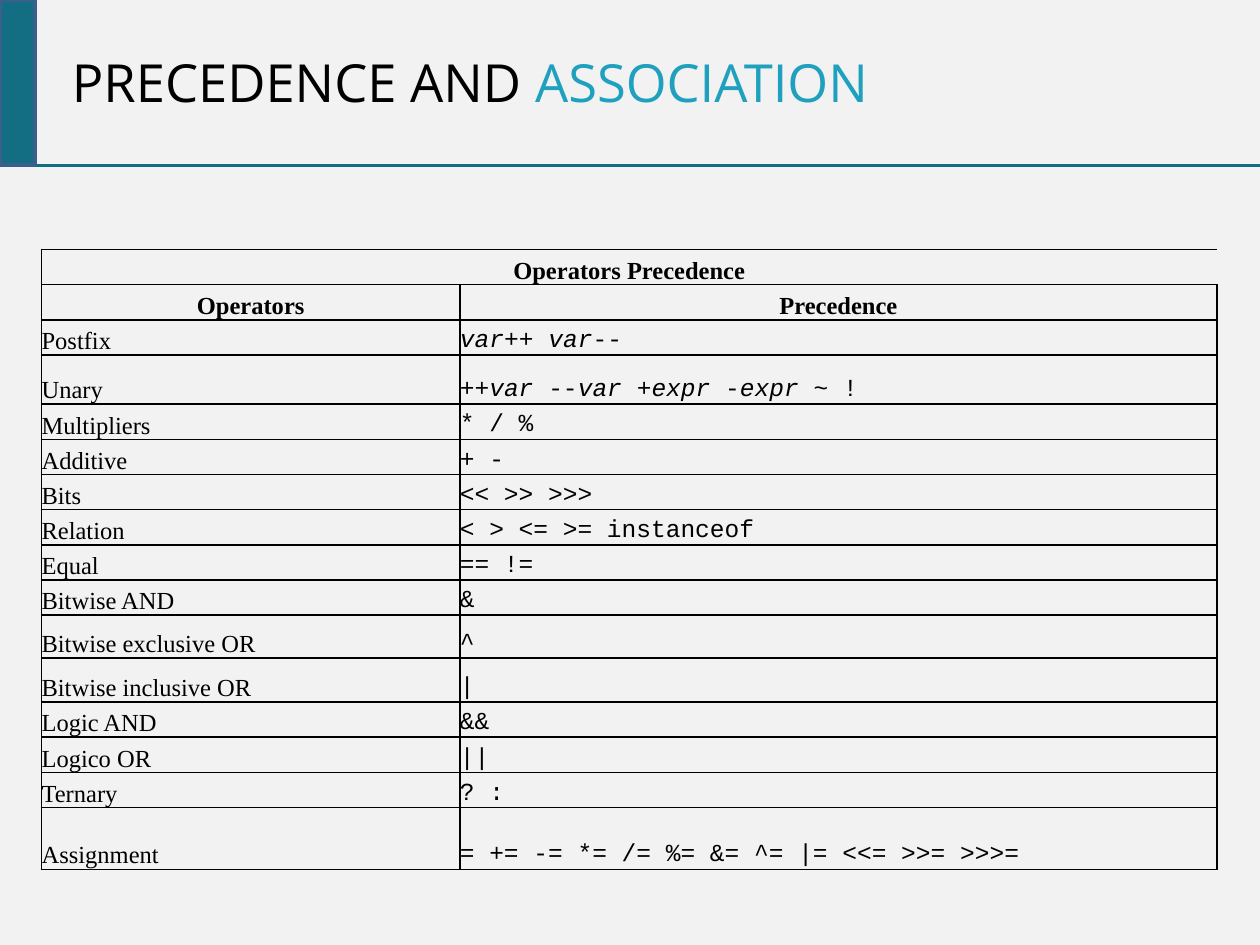
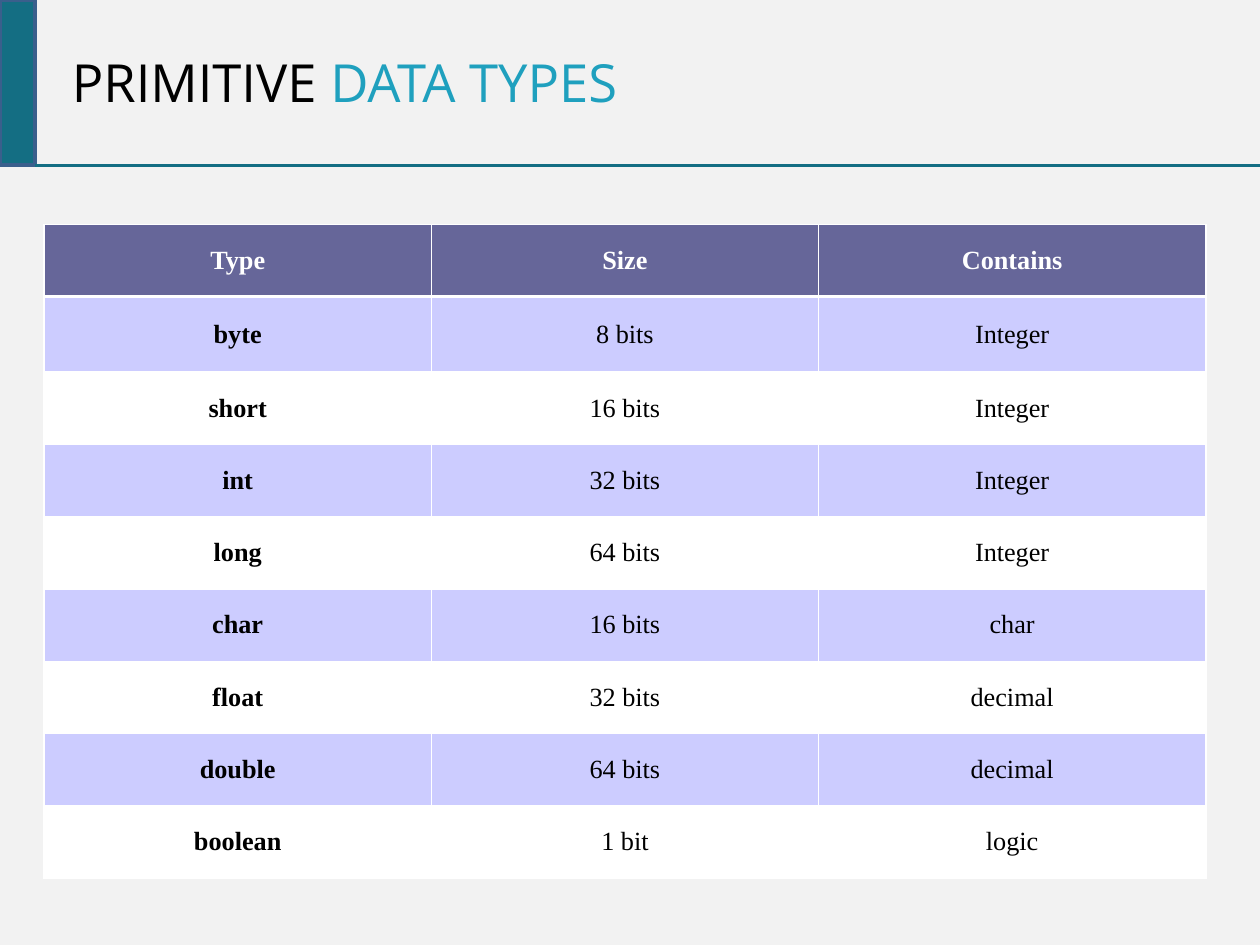
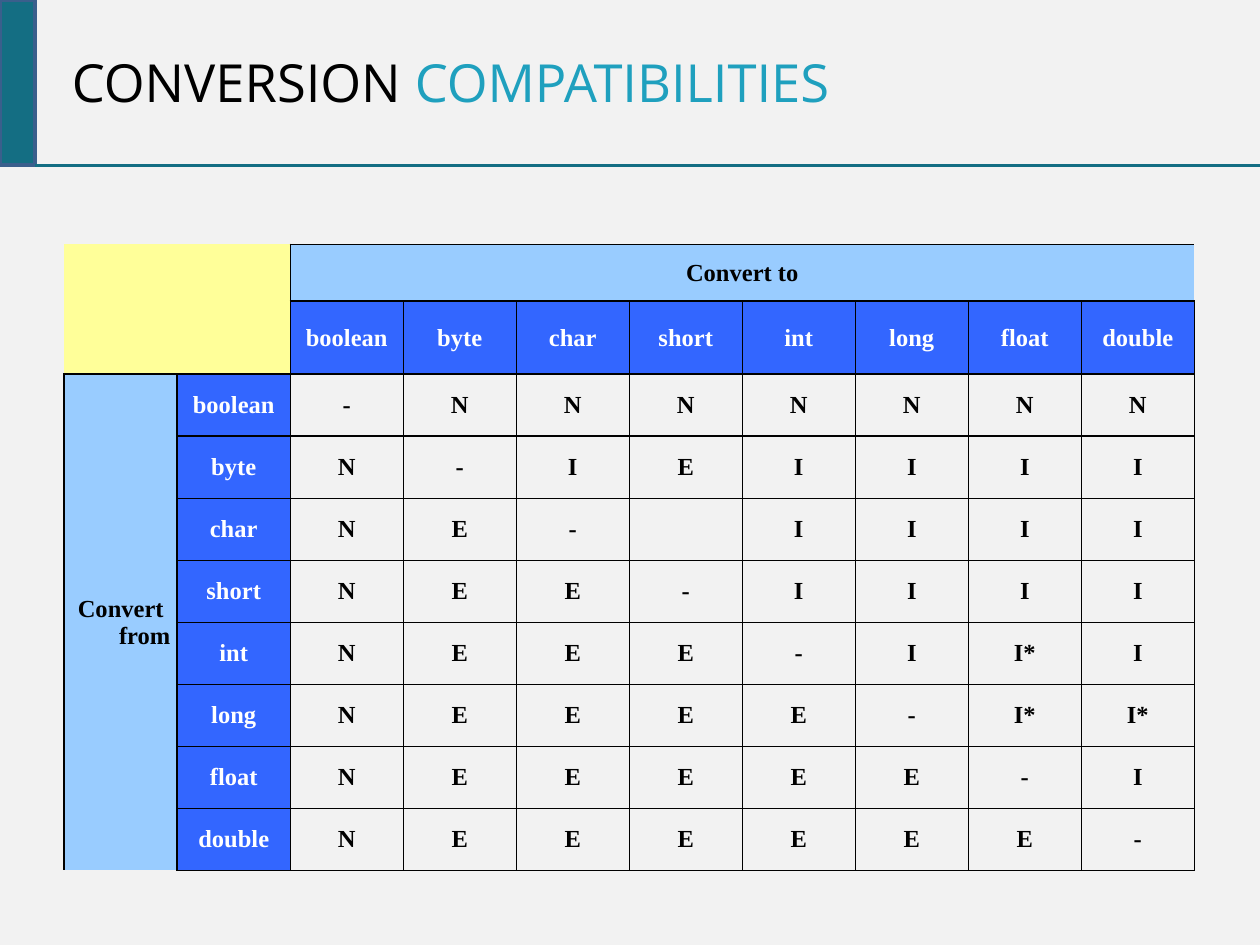
from itertools import product
from lxml.etree import SubElement as Sub
from pptx import Presentation
from pptx.dml.color import RGBColor as RGB
from pptx.enum.shapes import MSO_CONNECTOR as Link, MSO_SHAPE as Shape
from pptx.enum.text import MSO_ANCHOR as Anchor, PP_ALIGN as Align
from pptx.oxml.ns import qn
from pptx.util import Inches, Pt

PAPER = RGB(0xF2, 0xF2, 0xF2)
TEAL = RGB(0x14, 0x6E, 0x83)
EDGE = RGB(0x3A, 0x5F, 0x8C)
AQUA = RGB(0x1F, 0xA0, 0xBE)
BLACK = RGB(0, 0, 0)
WHITE = RGB(0xFF, 0xFF, 0xFF)
SLATE = RGB(0x66, 0x66, 0x99)
LILAC = RGB(0xCC, 0xCC, 0xFF)
YELLOW = RGB(0xFF, 0xFF, 0x99)
SKY = RGB(0x99, 0xCC, 0xFF)
BLUE = RGB(0x33, 0x66, 0xFF)

WIDE, HIGH = 10, 7.5
BAND, TAB = 1.31, 0.28
HANG = Inches(0.38)
SANS, SERIF, MONO = "Open Sans", "Times New Roman", "Courier New"
PLAIN = "{2D5ABB26-0587-4C30-8999-92F81FD0307C}"

RANKS = [
    ("Postfix", "_var_++ _var_--"),
    ("Unary", "++_var_ --_var_ +_expr_ -_expr_ ~ !"),
    ("Multipliers", "* / %"),
    ("Additive", "+ -"),
    ("Bits", "<< >> >>>"),
    ("Relation", "< > <= >= instanceof"),
    ("Equal", "== !="),
    ("Bitwise AND", "&"),
    ("Bitwise exclusive OR", "^"),
    ("Bitwise inclusive OR", "|"),
    ("Logic AND", "&&"),
    ("Logico OR", "||"),
    ("Ternary", "? :"),
    ("Assignment", "= += -= *= /= %= &= ^= |= <<= >>= >>>="),
]
TYPES = [
    ("Type", "Size", "Contains"),
    ("byte", "8 bits", "Integer"),
    ("short", "16 bits", "Integer"),
    ("int", "32 bits", "Integer"),
    ("long", "64 bits", "Integer"),
    ("char", "16 bits", "char"),
    ("float", "32 bits", "decimal"),
    ("double", "64 bits", "decimal"),
    ("boolean", "1 bit", "logic"),
]
NAMES = "boolean byte char short int long float double".split()
CASTS = [
    ("-", "N", "N", "N", "N", "N", "N", "N"),
    ("N", "-", "I", "E", "I", "I", "I", "I"),
    ("N", "E", "-", "", "I", "I", "I", "I"),
    ("N", "E", "E", "-", "I", "I", "I", "I"),
    ("N", "E", "E", "E", "-", "I", "I*", "I"),
    ("N", "E", "E", "E", "E", "-", "I*", "I*"),
    ("N", "E", "E", "E", "E", "E", "-", "I"),
    ("N", "E", "E", "E", "E", "E", "E", "-"),
]


def add_run(para, text, size, font, color, bold=False, slant=False):
    run = para.add_run()
    run.text = text
    run.font.size = Pt(size)
    run.font.name = font
    run.font.color.rgb = color
    run.font.bold = bold
    run.font.italic = slant


def add_band(slide):
    tab = slide.shapes.add_shape(Shape.RECTANGLE, 0, 0, Inches(TAB), Inches(BAND))
    tab.shadow.inherit = False
    tab.fill.solid()
    tab.fill.fore_color.rgb = TEAL
    tab.line.color.rgb = EDGE
    tab.line.width = Pt(2)
    rule = slide.shapes.add_connector(
        Link.STRAIGHT, Inches(TAB), Inches(BAND), Inches(WIDE), Inches(BAND))
    rule.line.color.rgb = TEAL
    rule.line.width = Pt(1.75)
    Sub(rule._element.spPr, qn("a:effectLst"))


def add_slide(deck, lead, accent, width=8.15):
    slide = deck.slides.add_slide(deck.slide_layouts[5])
    title = slide.shapes.title
    title.left, title.top = Inches(0.47), 0
    title.width, title.height = Inches(width), Inches(1.3)
    frame = title.text_frame
    frame.word_wrap = True
    frame.vertical_anchor = Anchor.MIDDLE
    para = frame.paragraphs[0]
    para.alignment = Align.LEFT
    add_run(para, lead + " ", 30, SANS, BLACK)
    add_run(para, accent, 30, SANS, AQUA)
    add_band(slide)
    return slide


def share(total, count, fixed):
    rest = (total - sum(fixed.values())) / (count - len(fixed))
    return [fixed.get(n, rest) for n in range(count)]


def add_grid(slide, left, top, cols, rows):
    frame = slide.shapes.add_table(
        len(rows), len(cols), Inches(left), Inches(top),
        Inches(sum(cols)), Inches(sum(rows)))
    grid = frame.table
    grid.first_row = grid.horz_banding = False
    grid._tbl.tblPr.find(qn("a:tableStyleId")).text = PLAIN
    for col, width in zip(grid.columns, cols):
        col.width = Inches(width)
    for row, height in zip(grid.rows, rows):
        row.height = Inches(height)
    return grid


def rule_cell(cell, sides, color, thick):
    props = cell._tc.get_or_add_tcPr()
    for side in "LRTB":
        points = thick.get(side, 1) if side in sides else 0
        line = Sub(props, qn("a:ln" + side), w=str(Pt(points)))
        if points:
            fill = Sub(line, qn("a:solidFill"))
            Sub(fill, qn("a:srgbClr"), val=str(color))
        else:
            Sub(line, qn("a:noFill"))


def set_cell(cell, text="", size=14, font=SERIF, ink=BLACK, bold=False, fill=None,
             align=Align.CENTER, anchor=Anchor.MIDDLE, sides="LRTB", edge=BLACK, thick={}):
    rule_cell(cell, sides, edge, thick)
    if fill is None:
        cell.fill.background()
    else:
        cell.fill.solid()
        cell.fill.fore_color.rgb = fill
    cell.margin_left = cell.margin_right = cell.margin_top = cell.margin_bottom = 0
    cell.vertical_anchor = anchor
    para = cell.text_frame.paragraphs[0]
    para.alignment = align
    props = para._p.get_or_add_pPr()
    props.set("marL", str(HANG))
    props.set("indent", str(-HANG))
    for n, part in enumerate(text.split("_")):
        if part:
            add_run(para, part, size, font, ink, bold, n % 2 == 1)
    if not text:
        para._p.get_or_add_endParaRPr().set("sz", str(size * 100))


def set_block(grid, top, left, high, wide, text="", sides="LRTB", **style):
    end, last = top + high - 1, left + wide - 1
    for r, c in product(range(top, end + 1), range(left, last + 1)):
        outer = {"L": c == left, "R": c == last, "T": r == top, "B": r == end}
        shown = [s for s in sides if outer[s]]
        first = (r, c) == (top, left)
        set_cell(grid.cell(r, c), text if first else "", sides=shown, **style)
    grid.cell(top, left).merge(grid.cell(end, last))


def show_ranks(deck):
    slide = add_slide(deck, "PRECEDENCE AND", "ASSOCIATION")
    rows = share(4.92, len(RANKS) + 2, {3: 0.39, 10: 0.34, 11: 0.35, 15: 0.49})
    grid = add_grid(slide, 0.33, 1.98, [3.32, 6.01], rows)
    head = dict(bold=True, anchor=Anchor.BOTTOM)
    body = dict(align=Align.LEFT, anchor=Anchor.BOTTOM)
    set_block(grid, 0, 0, 1, 2, "Operators Precedence", **head)
    for c, text in enumerate(("Operators", "Precedence")):
        set_cell(grid.cell(1, c), text, **head)
    for r, (name, code) in enumerate(RANKS, 2):
        set_cell(grid.cell(r, 0), name, **body)
        set_cell(grid.cell(r, 1), code, font=MONO, **body)


def show_types(deck):
    slide = add_slide(deck, "PRIMITIVE", "DATA TYPES", 9.53)
    rows = share(5.19, len(TYPES), {1: 0.6})
    grid = add_grid(slide, 0.35, 1.78, share(9.22, 3, {}), rows)
    for r, row in enumerate(TYPES):
        fill = SLATE if r == 0 else LILAC if r % 2 else WHITE
        thick = {0: {"B": 2}, 1: {"T": 2}}.get(r, {})
        for c, text in enumerate(row):
            set_cell(grid.cell(r, c), text, 15, ink=BLACK if r else WHITE,
                     bold=r == 0 or c == 0, fill=fill, edge=WHITE, thick=thick)


def show_casts(deck):
    slide = add_slide(deck, "CONVERSION", "COMPATIBILITIES")
    size = len(NAMES)
    rows = share(4.97, size + 2, {0: 0.45, 1: 0.58})
    grid = add_grid(slide, 0.51, 1.94, share(8.97, size + 2, {}), rows)
    set_block(grid, 0, 0, 2, 2, sides="B", fill=YELLOW)
    set_block(grid, 0, 2, 1, size, "Convert to", bold=True, fill=SKY)
    set_block(grid, 2, 0, size, 1, "Convert from", sides="LTB", bold=True, fill=SKY)
    head = dict(ink=WHITE, bold=True, fill=BLUE)
    for n, name in enumerate(NAMES):
        set_cell(grid.cell(1, n + 2), name, sides="LRTB" if n else "RTB", **head)
        set_cell(grid.cell(n + 2, 1), name, sides="RTB" if n else "LRTB", **head)
        for c, mark in enumerate(CASTS[n], 2):
            set_cell(grid.cell(n + 2, c), mark, bold=True)


def main():
    deck = Presentation()
    deck.slide_width, deck.slide_height = Inches(WIDE), Inches(HIGH)
    back = deck.slide_master.background.fill
    back.solid()
    back.fore_color.rgb = PAPER
    show_ranks(deck)
    show_types(deck)
    show_casts(deck)
    deck.save("out.pptx")


if __name__ == "__main__":
    main()
